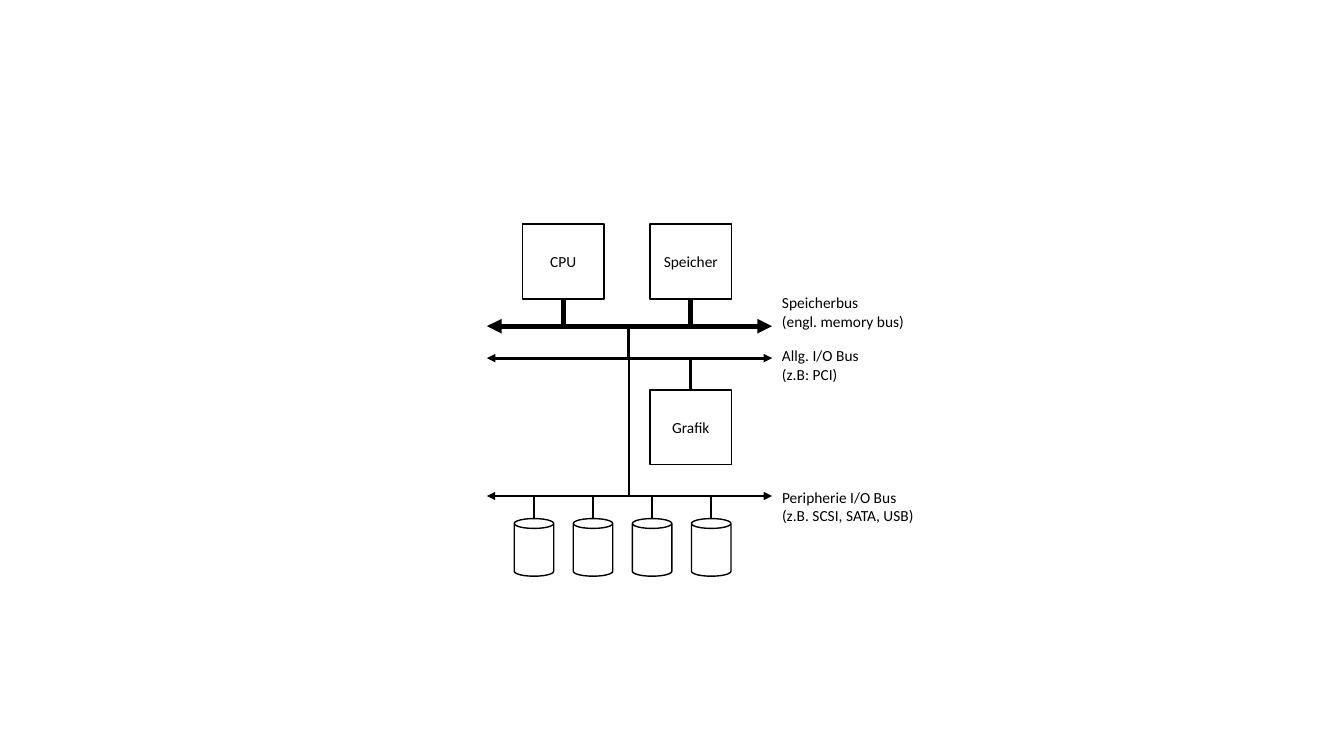
from dataclasses import dataclass

import pptx
import pptx.dml.color
import pptx.enum.shapes
import pptx.enum.text
import pptx.oxml.ns
import pptx.oxml.xmlchemy
import pptx.util
from lxml import etree

Pt = pptx.util.Pt
Shapes = pptx.enum.shapes.MSO_SHAPE
Align = pptx.enum.text.PP_ALIGN
qn = pptx.oxml.ns.qn

BLACK = "000000"
WHITE = "FFFFFF"
BUS_LEFT, BUS_RIGHT = 347.8, 551.5
MEMORY_Y, IO_Y, PERIPHERAL_Y = 233, 255.8, 354.3
CPU_X, BRIDGE_X, MEMORY_X = 402.3, 449.2, 493.5
BOX_WIDTH, BOX_HEIGHT = 58.5, 53.5
TOP_ROW, GRAPHICS_ROW = 160, 278.5
DISK_LEFT, DISK_TOP, DISK_PITCH = 367.3, 370.4, 42.2
DISK_WIDTH, DISK_HEIGHT, DISK_COUNT = 28.2, 41.2, 4


@dataclass
class Component:
    name: str
    center: float
    top: float


@dataclass
class Bus:
    label: str
    y: float
    weight: float
    label_top: float
    label_width: float


@dataclass
class Link:
    x: float
    start: float
    end: float
    weight: float


def color(value: str):
    return pptx.dml.color.RGBColor.from_string(value)


def write(shape, text: str, alignment) -> None:
    shape.text_frame.text = text
    for para in shape.text_frame.paragraphs:
        para.alignment = alignment
        for span in para.runs:
            span.font.size = Pt(11)
            span.font.name = "Calibri"
            span.font.color.rgb = color(BLACK)


def draw_outlined(page, preset, left: float, top: float, width: float, height: float):
    shape = page.shapes.add_shape(preset, Pt(left), Pt(top), Pt(width), Pt(height))
    shape.shadow.inherit = False
    shape.fill.solid()
    shape.fill.fore_color.rgb = color(WHITE)
    shape.line.color.rgb = color(BLACK)
    shape.line.width = Pt(1)
    return shape


def draw_line(page, x1: float, y1: float, x2: float, y2: float, weight: float):
    straight = pptx.enum.shapes.MSO_CONNECTOR.STRAIGHT
    line = page.shapes.add_connector(straight, Pt(x1), Pt(y1), Pt(x2), Pt(y2))
    line.line.color.rgb = color(BLACK)
    line.line.width = Pt(weight)
    etree.SubElement(line.element.spPr, qn("a:effectLst"))
    return line


def draw_component(page, component: Component) -> None:
    left = component.center - BOX_WIDTH / 2
    box = draw_outlined(page, Shapes.RECTANGLE, left, component.top, BOX_WIDTH, BOX_HEIGHT)
    box.text_frame.vertical_anchor = pptx.enum.text.MSO_ANCHOR.MIDDLE
    write(box, component.name, Align.CENTER)


def draw_bus(page, bus: Bus) -> None:
    line = draw_line(page, BUS_LEFT, bus.y, BUS_RIGHT, bus.y, bus.weight)
    outline = line.element.spPr.find(qn("a:ln"))
    for end in ("a:headEnd", "a:tailEnd"):
        etree.SubElement(outline, qn(end), type="triangle")


def draw_label(page, bus: Bus) -> None:
    box = page.shapes.add_textbox(
        Pt(BUS_RIGHT), Pt(bus.label_top), Pt(bus.label_width), Pt(33.9)
    )
    box.text_frame.word_wrap = False
    box.text_frame.auto_size = pptx.enum.text.MSO_AUTO_SIZE.SHAPE_TO_FIT_TEXT
    write(box, bus.label, Align.LEFT)


def draw_link(page, link: Link) -> None:
    draw_line(page, link.x, link.start, link.x, link.end, link.weight)


def draw_disk(page, index: int) -> None:
    left = DISK_LEFT + index * DISK_PITCH
    draw_outlined(page, Shapes.CAN, left, DISK_TOP, DISK_WIDTH, DISK_HEIGHT)
    draw_link(page, Link(left + DISK_WIDTH / 2, DISK_TOP, PERIPHERAL_Y, 1.25))


COMPONENTS = [
    Component("CPU", CPU_X, TOP_ROW),
    Component("Speicher", MEMORY_X, TOP_ROW),
    Component("Grafik", MEMORY_X, GRAPHICS_ROW),
]
BUSES = [
    Bus("Speicherbus\v(engl. memory bus)", MEMORY_Y, 3.5, 206, 102),
    Bus("Allg. I/O Bus\v(z.B: PCI)", IO_Y, 2, 244, 76.3),
    Bus("Peripherie I/O Bus\v(z.B. SCSI, SATA, USB)", PERIPHERAL_Y, 1.25, 345, 134),
]
LINKS = [
    Link(MEMORY_X, GRAPHICS_ROW, IO_Y, 2),
    Link(BRIDGE_X, IO_Y, MEMORY_Y, 2),
    Link(CPU_X, MEMORY_Y, TOP_ROW + BOX_HEIGHT, 3.5),
    Link(MEMORY_X, MEMORY_Y, TOP_ROW + BOX_HEIGHT, 3.5),
    Link(BRIDGE_X, PERIPHERAL_Y, IO_Y, 1.25),
]

deck = pptx.Presentation()
deck.slide_width, deck.slide_height = Pt(960), Pt(540)
page = deck.slides.add_slide(deck.slide_layouts[6])

for component in COMPONENTS:
    draw_component(page, component)
for bus in BUSES:
    draw_bus(page, bus)
for link in LINKS:
    draw_link(page, link)
for index in range(DISK_COUNT):
    draw_disk(page, index)
for bus in BUSES:
    draw_label(page, bus)

deck.save("out.pptx")
